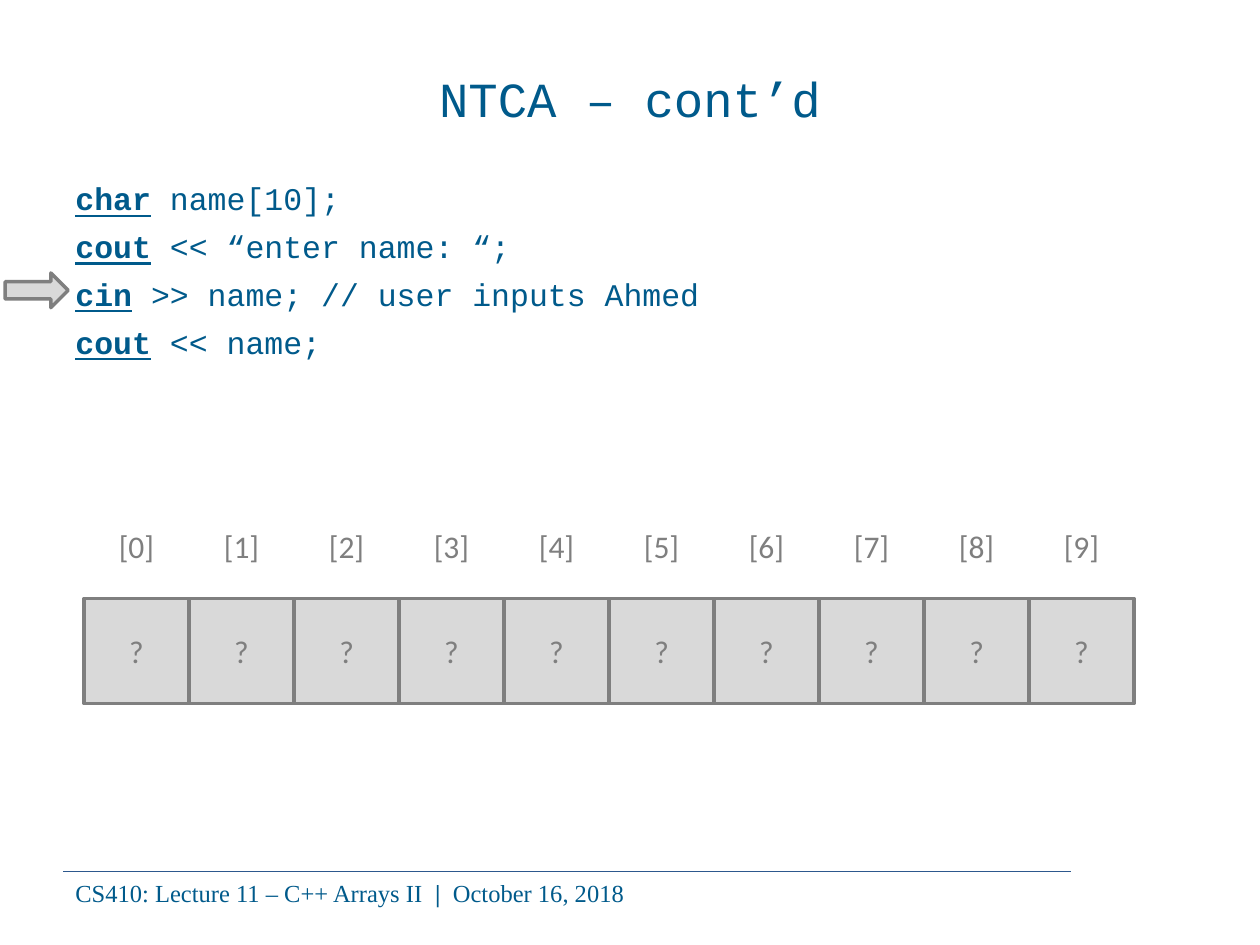
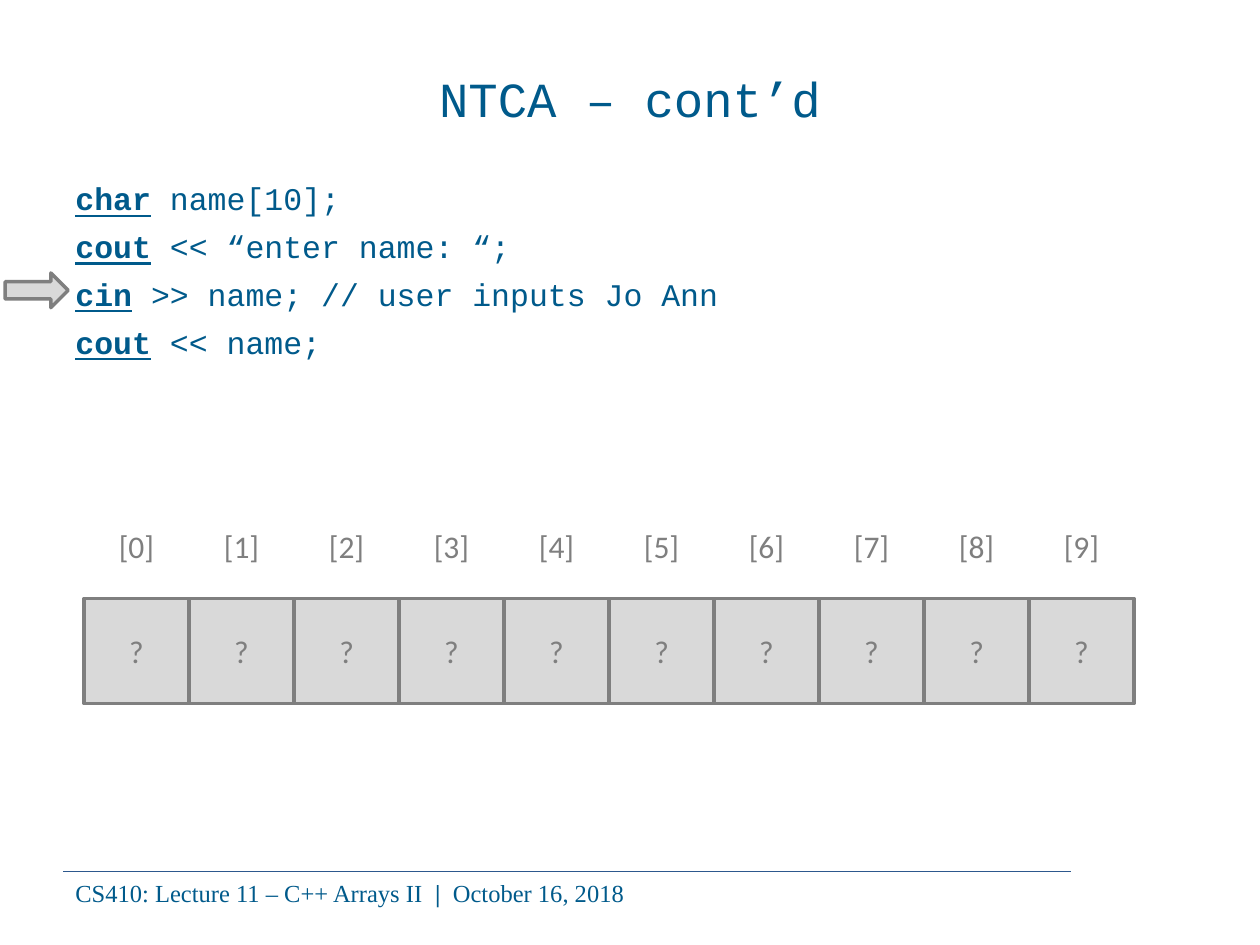
from lxml import etree
from pptx import Presentation
from pptx import util as u
from pptx.dml.color import RGBColor
from pptx.enum import shapes, text
from pptx.oxml.ns import qn

COLUMNS, ROWS = 12, 9
PAGE_WIDTH, PAGE_HEIGHT = u.Inches(10), u.Inches(7.5)
NAVY, RULE, GREY, SILVER = "005A8B", "2D588D", "7F7F7F", "D9D9D9"
CODE, LABEL, FOOTER = "Courier New", "Calibri", "Times New Roman"
LEFT = 0.6
ARRAY_LEFT, ARRAY_TOP, ARRAY_SIZE = 0.8, 5.7, 10


def colour(value):
    return RGBColor.from_string(value)


class Lecture:
    """Holds the deck, its current page and the style; lengths are grid columns and rows."""

    def __init__(self):
        self.deck = Presentation()
        self.deck.slide_width, self.deck.slide_height = PAGE_WIDTH, PAGE_HEIGHT

    def place(self, column, row):
        return round(column * PAGE_WIDTH / COLUMNS), round(row * PAGE_HEIGHT / ROWS)

    def new_page(self, title):
        self.page = self.deck.slides.add_slide(self.deck.slide_layouts[6])
        self.rule(LEFT, 8.3, 10.2)
        self.footer()
        self.label(title, LEFT, 0.36, 10.8, 1.14, CODE, 28, NAVY)

    def style(self, span, font, size, ink, bold=False, underline=False):
        span.font.name, span.font.size = font, u.Pt(size)
        span.font.color.rgb = colour(ink)
        span.font.bold, span.font.underline = bold, underline

    def text_box(self, column, row, width, height):
        box = self.page.shapes.add_textbox(*self.place(column, row), *self.place(width, height))
        box.text_frame.word_wrap = True
        return box

    def centre(self, shape, words, font, size, ink):
        frame = shape.text_frame
        frame.text = words
        frame.vertical_anchor = text.MSO_ANCHOR.MIDDLE
        para = frame.paragraphs[0]
        para.alignment = text.PP_ALIGN.CENTER
        self.style(para.runs[0], font, size, ink)

    def label(self, words, column, row, width, height, font=LABEL, size=18, ink=GREY):
        self.centre(self.text_box(column, row, width, height), words, font, size, ink)

    def rule(self, column, row, end_column):
        line = self.page.shapes.add_connector(
            shapes.MSO_CONNECTOR.STRAIGHT, *self.place(column, row), *self.place(end_column, row))
        line.line.color.rgb = colour(RULE)
        line.line.width = u.Pt(0.5)
        etree.SubElement(line._element.spPr, qn("a:effectLst"))

    def footer(self):
        para = self.text_box(LEFT, 8.3, 9.8, 0.41).text_frame.paragraphs[0]
        for words, bold in (("CS410: Lecture 11 – C++ Arrays II  ", False),
                            ("|  ", True), ("October 16, 2018", False)):
            span = para.add_run()
            span.text = words
            self.style(span, FOOTER, 14, NAVY, bold)

    def code(self, lines):
        """Writes (keyword, rest) lines with the keyword bold and underlined."""
        frame = self.text_box(LEFT, 1.6, 11, 6.45).text_frame
        frame.margin_top = u.Inches(0.09)
        for number, (keyword, rest) in enumerate(lines):
            para = frame.add_paragraph() if number else frame.paragraphs[0]
            properties = para._p.get_or_add_pPr()
            properties.set("marL", str(u.Inches(0.38)))
            properties.set("indent", str(u.Inches(-0.38)))
            if number:
                para.space_before = u.Pt(5.7)
            for words, strong in ((keyword, True), (rest, False)):
                span = para.add_run()
                span.text = words
                self.style(span, CODE, 18, NAVY, strong, strong)

    def silver_shape(self, kind, column, row, width, height):
        shape = self.page.shapes.add_shape(
            kind, *self.place(column, row), *self.place(width, height))
        shape.shadow.inherit = False
        shape.fill.solid()
        shape.fill.fore_color.rgb = colour(SILVER)
        shape.line.color.rgb = colour(GREY)
        shape.line.width = u.Pt(2)
        return shape

    def array(self, values):
        """Draws one square per value, with its index a row above."""
        for index, value in enumerate(values):
            column = ARRAY_LEFT + index
            cell = self.silver_shape(shapes.MSO_SHAPE.RECTANGLE, column, ARRAY_TOP, 1, 1)
            self.centre(cell, value, LABEL, 18, GREY)
        for index in range(len(values)):
            self.label(f"[{index}]", ARRAY_LEFT + index, ARRAY_TOP - 1, 1, 1)

    def current_line_arrow(self):
        self.silver_shape(shapes.MSO_SHAPE.RIGHT_ARROW, 0.05, 2.6, 0.6, 0.33)


def main():
    lecture = Lecture()
    for user_input in ("Ahmed", "Jo Ann"):
        lecture.new_page("NTCA – cont’d")
        lecture.code([
            ("char", " name[10];"),
            ("cout", " << “enter name: “;"),
            ("cin", f" >> name; // user inputs {user_input}"),
            ("cout", " << name;"),
        ])
        lecture.array(["?"] * ARRAY_SIZE)
        lecture.current_line_arrow()
    lecture.deck.save("out.pptx")


if __name__ == "__main__":
    main()
